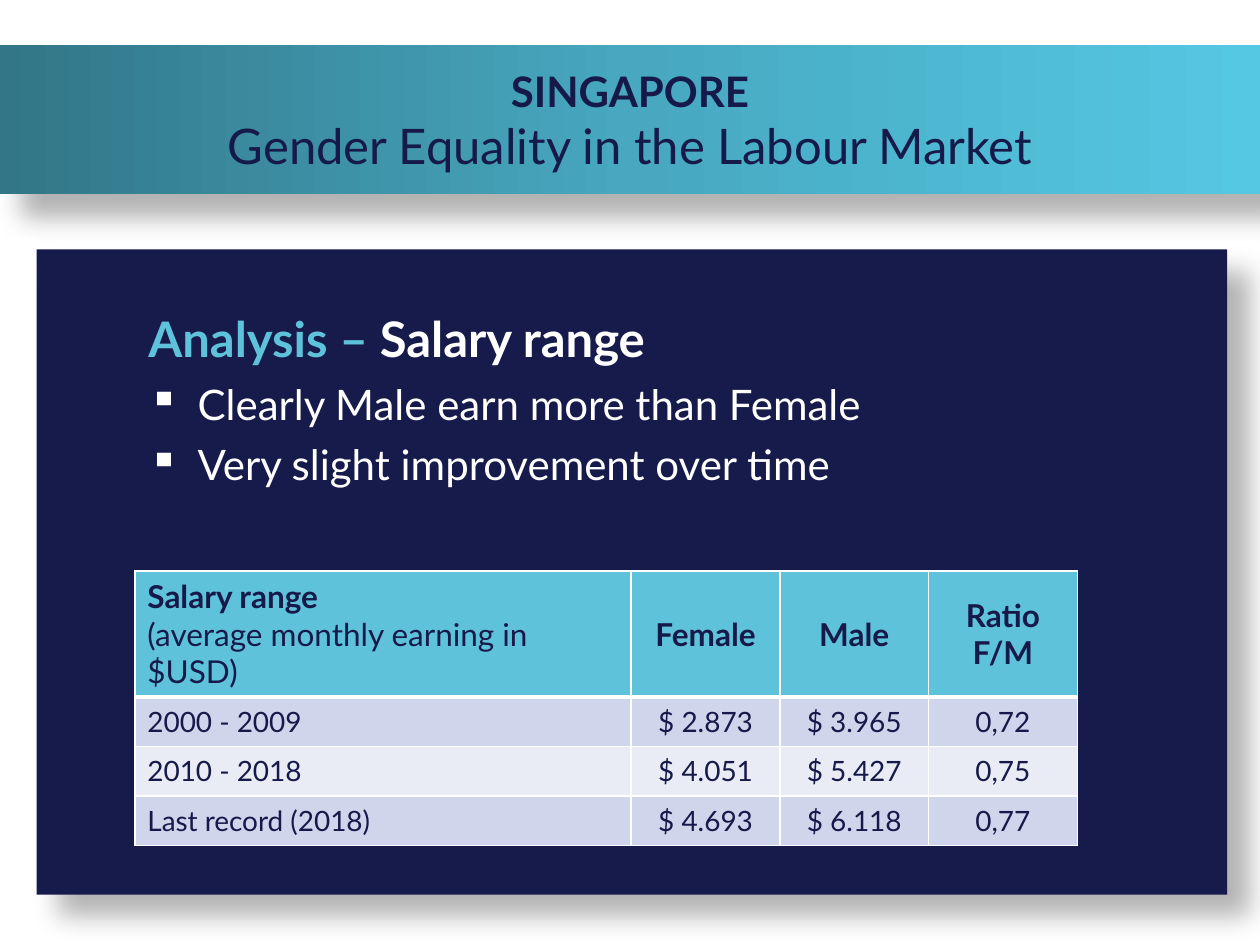
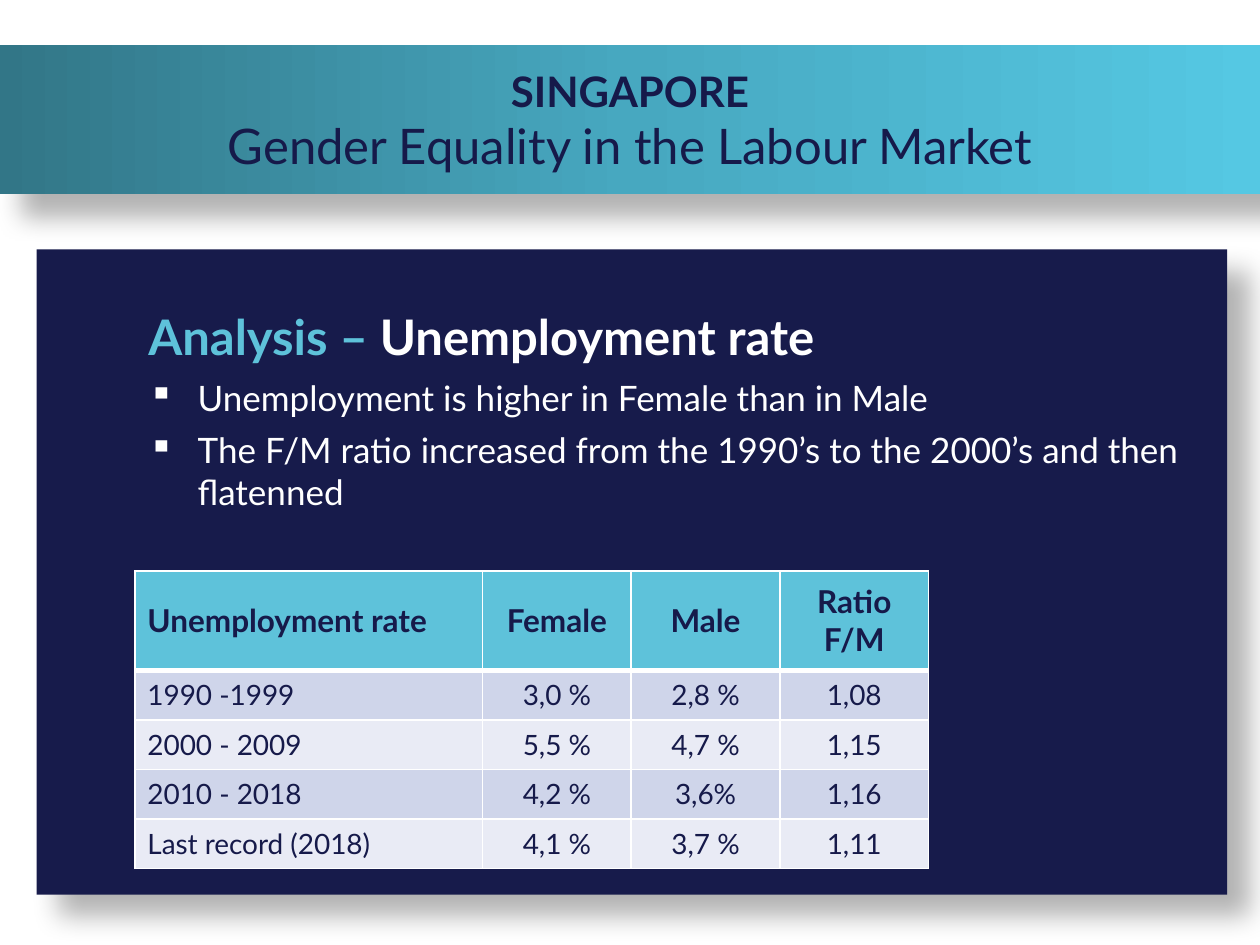
from dataclasses import dataclass
from pptx import Presentation
from pptx.dml.color import RGBColor
from pptx.enum.shapes import MSO_SHAPE
from pptx.enum.text import MSO_ANCHOR, PP_ALIGN
from pptx.oxml import parse_xml
from pptx.oxml.ns import nsdecls, qn
from pptx.util import Inches, Pt

COLS, ROWS = 100, 75
NS = nsdecls("a")


@dataclass(frozen=True)
class Theme:
    font: str = "Lato"
    navy: str = "171B4B"
    ink: str = "161A4A"
    cyan: str = "5EC2DA"
    white: str = "FFFFFF"
    black: str = "000000"
    bands: tuple = ("CFD5EA", "E9EBF5")
    gradient: tuple = ((0, "327687"), (50, "47A8C0"), (100, "55C8E3"))
    heading: int = 28
    country: int = 24
    table_head: int = 18
    table_body: int = 16


class Deck:
    def __init__(self, theme):
        self.t = theme
        self.prs = Presentation()
        self.prs.slide_width, self.prs.slide_height = Inches(10), Inches(7.5)
        self.s = None

    def x(self, cols):
        return round(self.prs.slide_width * cols / COLS)

    def y(self, rows):
        return round(self.prs.slide_height * rows / ROWS)

    def box(self, left, top, width, height):
        return self.x(left), self.y(top), self.x(width), self.y(height)

    def add_slide(self):
        self.s = self.prs.slides.add_slide(self.prs.slide_layouts[6])

    def set_all(self, obj, **fmt):
        for name, value in fmt.items():
            setattr(obj, name, value)

    def run(self, p, text, size, color, bold=False):
        r = p.add_run()
        r.text = text
        self.set_all(r.font, name=self.t.font, size=Pt(size), bold=bold)
        r.font.color.rgb = RGBColor.from_string(color)

    def paragraph(self, tf, first, align=PP_ALIGN.LEFT):
        p = tf.paragraphs[0] if first else tf.add_paragraph()
        p.alignment = align
        return p

    def rect(self, *area):
        sp = self.s.shapes.add_shape(MSO_SHAPE.RECTANGLE, *self.box(*area))
        sp.line.fill.background()
        sp.shadow.inherit = False
        sp._element.spPr.find(qn("a:effectLst")).append(parse_xml(
            f'<a:outerShdw {NS} blurRad="{Pt(15)}" dist="{Pt(18)}" dir="2700000" '
            f'algn="tl" rotWithShape="0"><a:srgbClr val="{self.t.black}">'
            '<a:alpha val="30000"/></a:srgbClr></a:outerShdw>'))
        return sp

    def header(self, country, subject):
        sp = self.rect(0, 3.6, COLS, 11.8)
        sp.fill.gradient()
        sp.fill.gradient_angle = 0
        grad = sp._element.spPr.find(qn("a:gradFill"))
        stops = "".join(f'<a:gs pos="{pos * 1000}"><a:srgbClr val="{color}"/></a:gs>'
                        for pos, color in self.t.gradient)
        grad.replace(grad.find(qn("a:gsLst")),
                     parse_xml(f"<a:gsLst {NS}>{stops}</a:gsLst>"))
        tf = sp.text_frame
        self.set_all(tf, word_wrap=True, vertical_anchor=MSO_ANCHOR.MIDDLE)
        lines = ((country, self.t.country, True), (subject, self.t.heading, False))
        for i, (text, size, bold) in enumerate(lines):
            p = self.paragraph(tf, i == 0, PP_ALIGN.CENTER)
            self.run(p, text, size, self.t.ink, bold)

    def bullet(self, p):
        p._p.get_or_add_pPr().append(parse_xml(f'<a:buChar {NS} char="▪"/>'))

    def panel(self, topic, points, size, inset):
        sp = self.rect(2.9, 19.8, 94.5, 51.2)
        sp.fill.solid()
        sp.fill.fore_color.rgb = RGBColor.from_string(self.t.navy)
        tf = sp.text_frame
        self.set_all(tf, word_wrap=True, vertical_anchor=MSO_ANCHOR.TOP,
                     margin_top=self.y(inset))
        p = self.paragraph(tf, True)
        self.run(p, "Analysis – ", self.t.heading, self.t.cyan, True)
        self.run(p, topic, self.t.heading, self.t.white, True)
        for point in points:
            p = self.paragraph(tf, False)
            self.run(p, point, size, self.t.white)
        for i, p in enumerate(tf.paragraphs):
            p.space_after = Pt(6)
            pPr = p._p.get_or_add_pPr()
            pPr.set("marL", str(self.x(11.8)))
            pPr.set("indent", str(-self.x(3.9)))
            if i:
                self.bullet(p)

    def borders(self, cell, **widths):
        tcPr = cell._tc.get_or_add_tcPr()
        for i, side in enumerate("LRTB"):
            tcPr.insert(i, parse_xml(
                f'<a:ln{side} {NS} w="{Pt(widths.get(side, 1))}"><a:solidFill>'
                f'<a:srgbClr val="{self.t.white}"/></a:solidFill></a:ln{side}>'))

    def cell(self, cell, lines, row, col):
        head = row == 0
        fill = self.t.cyan if head else self.t.bands[(row - 1) % 2]
        cell.fill.solid()
        cell.fill.fore_color.rgb = RGBColor.from_string(fill)
        cell.vertical_anchor = MSO_ANCHOR.MIDDLE
        self.borders(cell, **({"B": 3} if head else {"T": 3} if row == 1 else {}))
        size = self.t.table_head if head else self.t.table_body
        align = PP_ALIGN.CENTER if col else PP_ALIGN.LEFT
        for i, text in enumerate(lines.split("\n")):
            p = self.paragraph(cell.text_frame, i == 0, align)
            self.run(p, text, size, self.t.ink, head and not text.startswith("("))

    def table(self, label_width, rows):
        widths = [label_width] + [11.8] * (len(rows[0]) - 1)
        heights = [7.9] + [3.93] * (len(rows) - 1)
        area = self.box(10.7, 45.3, sum(widths), sum(heights))
        tbl = self.s.shapes.add_table(len(rows), len(widths), *area).table
        for column, width in zip(tbl.columns, widths):
            column.width = self.x(width)
        for i, (values, height) in enumerate(zip(rows, heights)):
            tbl.rows[i].height = self.y(height)
            for j, text in enumerate(values):
                self.cell(tbl.cell(i, j), text, i, j)


SLIDES = (
    {
        "panel": ("Salary range",
                  ("Clearly Male earn more than Female",
                   "Very slight improvement over time"), 24, 4.7),
        "table": (39.4, (
            ("Salary range\n(average monthly earning in $USD)", "Female", "Male", "Ratio F/M"),
            ("2000 - 2009", "$ 2.873", "$ 3.965", "0,72"),
            ("2010 - 2018", "$ 4.051", "$ 5.427", "0,75"),
            ("Last record (2018)", "$ 4.693", "$ 6.118", "0,77"))),
    },
    {
        "panel": ("Unemployment rate",
                  ("Unemployment is higher in Female than in Male",
                   "The F/M ratio increased from the 1990’s to the 2000’s and then flatenned"),
                  20, 4.55),
        "table": (27.6, (
            ("Unemployment rate", "Female", "Male", "Ratio\nF/M"),
            ("1990 -1999", "3,0 %", "2,8 %", "1,08"),
            ("2000 - 2009", "5,5 %", "4,7 %", "1,15"),
            ("2010 - 2018", "4,2 %", "3,6%", "1,16"),
            ("Last record (2018)", "4,1 %", "3,7 %", "1,11"))),
    },
)


def main():
    deck = Deck(Theme())
    for content in SLIDES:
        deck.add_slide()
        deck.panel(*content["panel"])
        deck.table(*content["table"])
        deck.header("SINGAPORE", "Gender Equality in the Labour Market")
    deck.prs.save("out.pptx")


if __name__ == "__main__":
    main()
